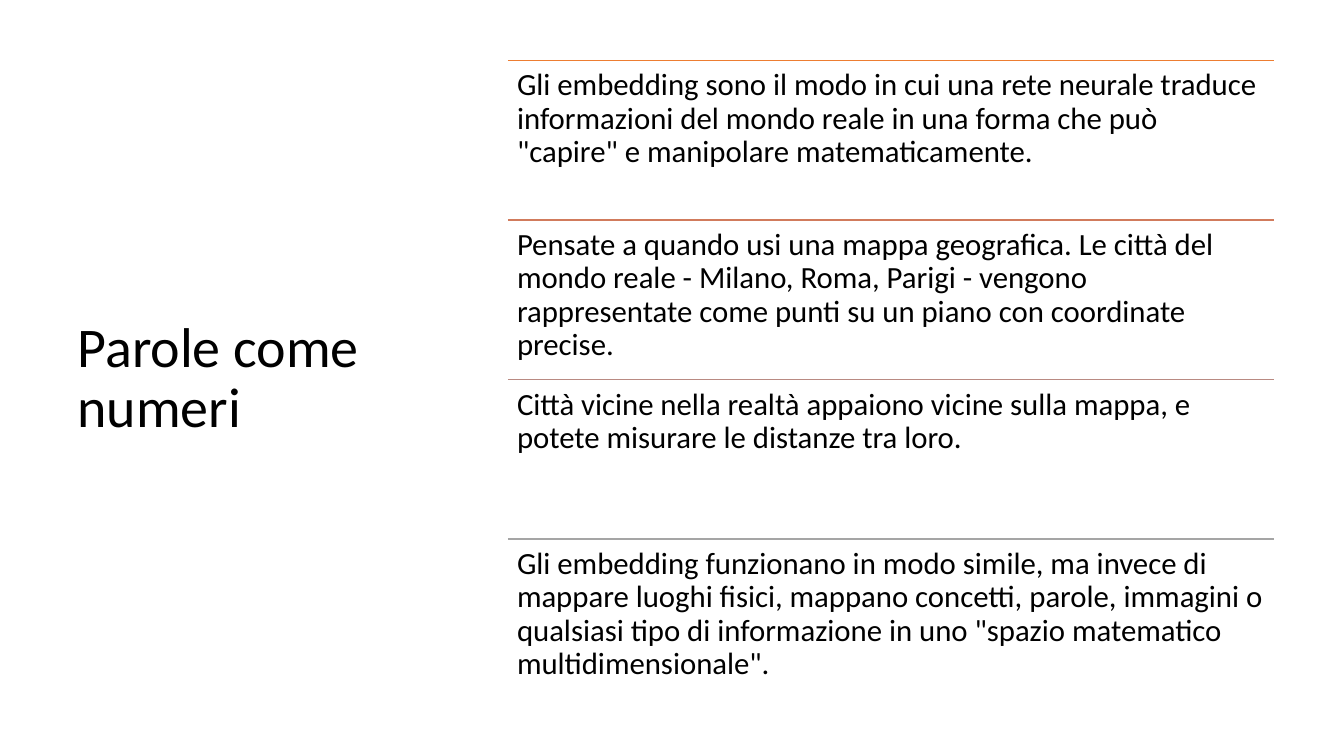
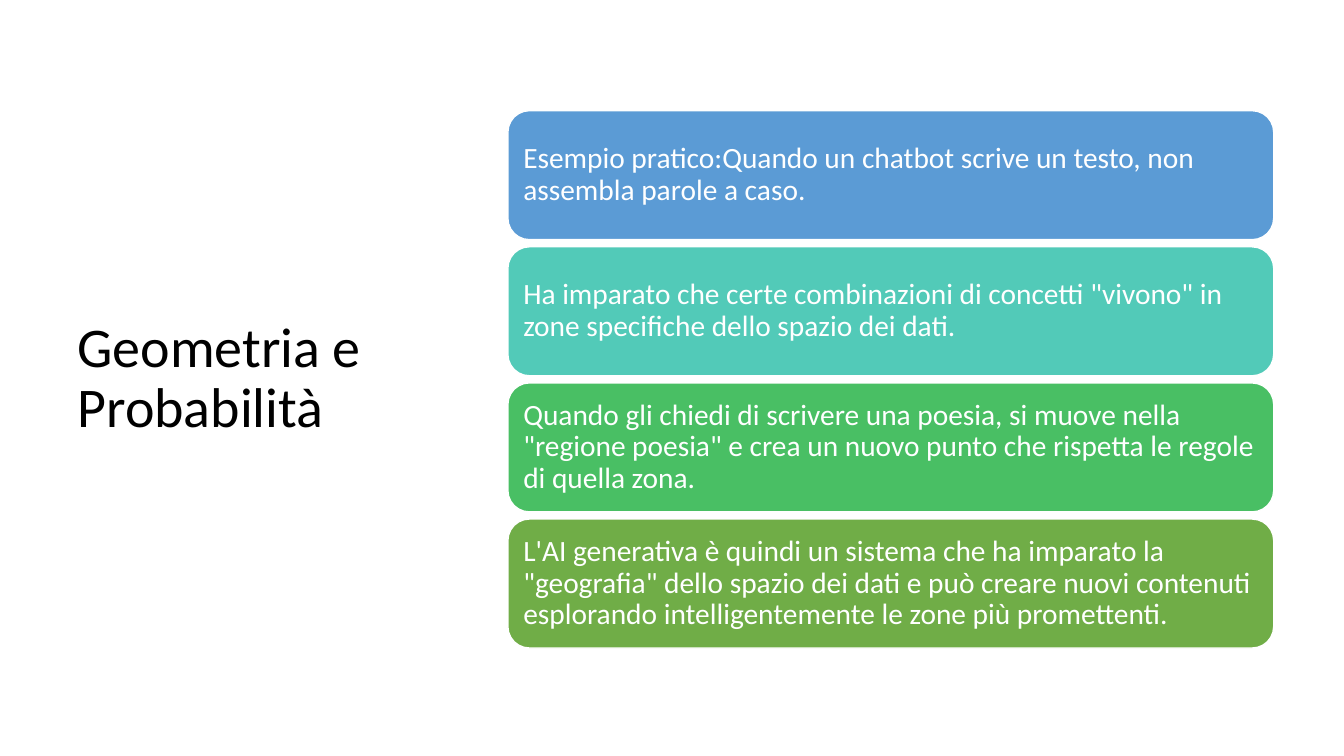
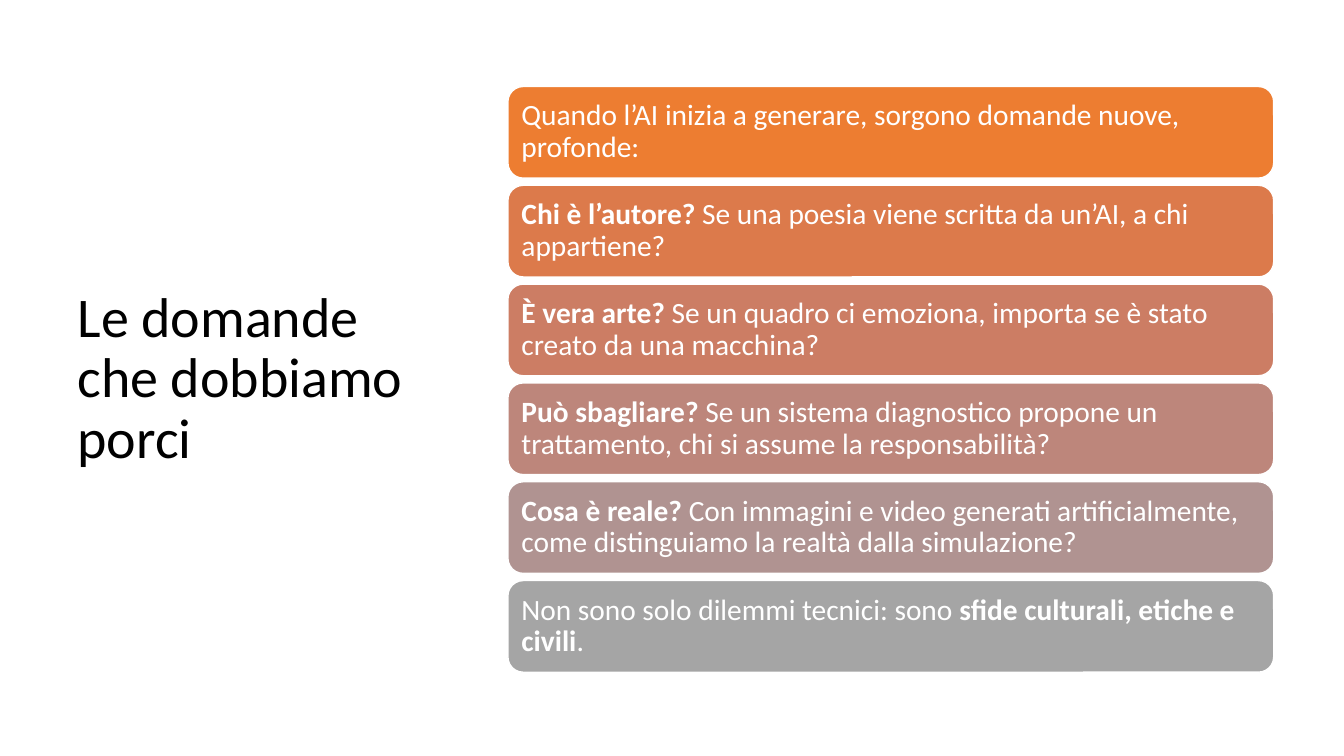
from dataclasses import dataclass
from typing import Any

from lxml.etree import SubElement
from pptx import Presentation
from pptx.dml.color import RGBColor as Rgb
from pptx.enum.shapes import MSO_CONNECTOR as Link, MSO_SHAPE as Form
from pptx.enum.text import MSO_ANCHOR as Anchor, MSO_AUTO_SIZE as Fit, PP_ALIGN as Align
from pptx.oxml.ns import qn
from pptx.util import Cm, Pt

FONT = "Calibri"
BLACK, WHITE = "000000", "FFFFFF"
TOP, TALL = 1.52, 16.08
LEFT, WIDE = 12.8, 19.3
GAP = 0.18
PAD = Cm(0.23)
FRAME = {"word_wrap": True, "auto_size": Fit.NONE}
INSET = dict.fromkeys(
    ("margin_left", "margin_top", "margin_right", "margin_bottom"), PAD
)
PARA = {"alignment": Align.LEFT, "line_spacing": 0.9}


@dataclass
class Item:
    """One entry of a list; text between ** marks is bold."""
    hue: str
    text: str


@dataclass
class Page:
    """A title beside a list: ruled rows, or cards when a height is given."""
    title: str
    items: list[Item]
    card: float = 0


PAGES = [
    Page("Parole come numeri", [
        Item("ED7D31", "Gli embedding sono il modo in cui una rete neurale traduce "
             "informazioni del mondo reale in una forma che può \"capire\" e "
             "manipolare matematicamente."),
        Item("D17B5C", "Pensate a quando usi una mappa geografica. Le città del mondo "
             "reale - Milano, Roma, Parigi - vengono rappresentate come punti su un "
             "piano con coordinate precise."),
        Item("B98A82", "Città vicine nella realtà appaiono vicine sulla mappa, e potete "
             "misurare le distanze tra loro."),
        Item("A5A5A5", "Gli embedding funzionano in modo simile, ma invece di mappare "
             "luoghi fisici, mappano concetti, parole, immagini o qualsiasi tipo di "
             "informazione in uno \"spazio matematico multidimensionale\"."),
    ]),
    Page("Geometria e Probabilità", [
        Item("5B9BD5", "Esempio pratico:Quando un chatbot scrive un testo, non assembla "
             "parole a caso."),
        Item("52CAB8", "Ha imparato che certe combinazioni di concetti \"vivono\" in "
             "zone specifiche dello spazio dei dati."),
        Item("49BF64", "Quando gli chiedi di scrivere una poesia, si muove nella "
             "\"regione poesia\" e crea un nuovo punto che rispetta le regole di "
             "quella zona."),
        Item("70AD47", "L'AI generativa è quindi un sistema che ha imparato la "
             "\"geografia\" dello spazio dei dati e può creare nuovi contenuti "
             "esplorando intelligentemente le zone più promettenti."),
    ], card=3.25),
    Page("Le domande che dobbiamo porci", [
        Item("ED7D31", "Quando l’AI inizia a generare, sorgono domande nuove, profonde:"),
        Item("DC7A4B", "**Chi è l’autore?** Se una poesia viene scritta da un’AI, a chi "
             "appartiene?"),
        Item("CC7D64", "**È vera arte?** Se un quadro ci emoziona, importa se è stato "
             "creato da una macchina?"),
        Item("BD867B", "**Può sbagliare?** Se un sistema diagnostico propone un "
             "trattamento, chi si assume la responsabilità?"),
        Item("B09391", "**Cosa è reale?** Con immagini e video generati artificialmente, "
             "come distinguiamo la realtà dalla simulazione?"),
        Item("A5A5A5", "Non sono solo dilemmi tecnici: sono **sfide culturali, etiche e "
             "civili**."),
    ], card=2.31),
]


def paint(part: Any, hue: str) -> None:
    """Give a fill or line format a solid colour."""
    fill = getattr(part, "fill", part)
    fill.solid()
    fill.fore_color.rgb = Rgb.from_string(hue)


def apply(part: Any, style: dict[str, Any]) -> None:
    for name, value in style.items():
        setattr(part, name, value)


def write(shape: Any, text: str, size: int, hue: str, anchor: Anchor, **more: Any) -> None:
    frame = shape.text_frame
    apply(frame, FRAME | {"vertical_anchor": anchor} | more)
    para = frame.paragraphs[0]
    apply(para, PARA)
    for num, piece in enumerate(text.split("**")):
        if piece:
            run = para.add_run()
            run.text = piece
            apply(run.font, {"name": FONT, "size": Pt(size), "bold": num % 2 == 1})
            paint(run.font.fill, hue)


def row(slide: Any, item: Item, top: float, high: float) -> None:
    rule = slide.shapes.add_connector(
        Link.STRAIGHT, Cm(LEFT), Cm(top), Cm(LEFT + WIDE), Cm(top)
    )
    paint(rule.line, item.hue)
    rule.line.width = Pt(1)
    SubElement(rule.element.spPr, qn("a:effectLst"))
    box = slide.shapes.add_textbox(Cm(LEFT), Cm(top), Cm(WIDE), Cm(high))
    write(box, item.text, 22, BLACK, Anchor.TOP, **INSET)


def card(slide: Any, item: Item, top: float, high: float) -> None:
    box = slide.shapes.add_shape(
        Form.ROUNDED_RECTANGLE, Cm(LEFT), Cm(top), Cm(WIDE), Cm(high)
    )
    box.shadow.inherit = False
    paint(box.fill, item.hue)
    paint(box.line, WHITE)
    box.line.width = Pt(1)
    write(box, item.text, 21, WHITE, Anchor.MIDDLE, **INSET)


def build(deck: Any, page: Page) -> None:
    slide = deck.slides.add_slide(deck.slide_layouts.get_by_name("Title Only"))
    title = slide.shapes.title
    apply(title, {"left": Cm(1.7), "top": Cm(TOP), "width": Cm(9.7), "height": Cm(TALL)})
    write(title, page.title, 40, BLACK, Anchor.MIDDLE)

    count = len(page.items)
    draw, high, gap = (card, page.card, GAP) if page.card else (row, TALL / count, 0)
    step = high + gap
    start = TOP + (TALL - count * step + gap) / 2
    for num, item in enumerate(page.items):
        draw(slide, item, start + num * step, high)


def main() -> None:
    deck = Presentation()
    apply(deck, {"slide_width": Cm(33.87), "slide_height": Cm(19.05)})
    for page in PAGES:
        build(deck, page)
    deck.save("out.pptx")


if __name__ == "__main__":
    main()
